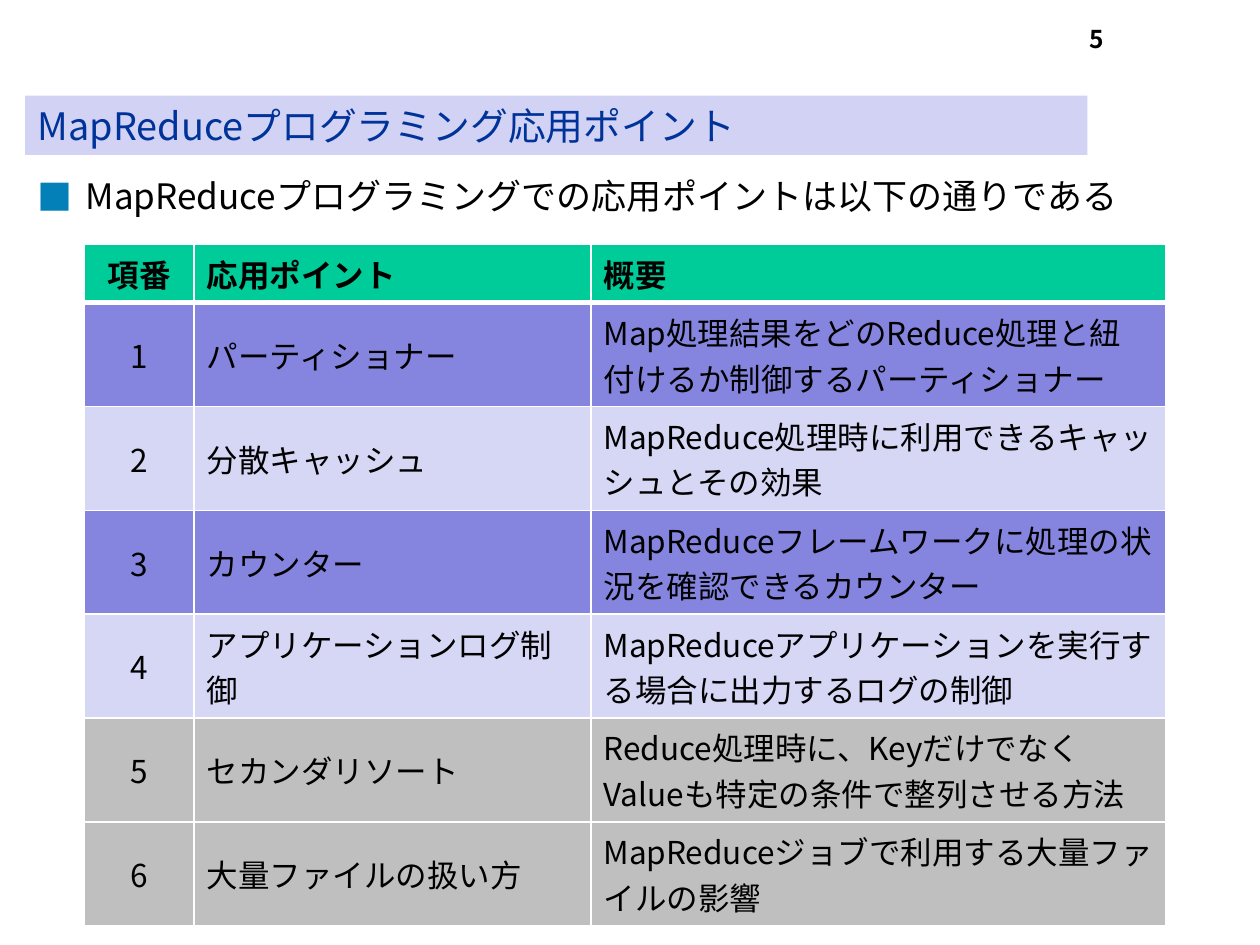
from lxml import etree
from pptx import Presentation
from pptx import util as u
from pptx.dml import color
from pptx.enum import text
from pptx.oxml import ns

CENTER, LEFT, RIGHT = text.PP_ALIGN.CENTER, text.PP_ALIGN.LEFT, text.PP_ALIGN.RIGHT
TOP, MIDDLE = text.MSO_ANCHOR.TOP, text.MSO_ANCHOR.MIDDLE


def rgb(value):
    return color.RGBColor.from_string(value)


def add_xml(parent, tag, **attributes):
    return etree.SubElement(parent, ns.qn(tag), attributes)


def apply(target, formats):
    for name, value in formats.items():
        setattr(target, name, value)


class SlideBuilder:
    font = "Noto Sans CJK JP"
    ink = "000000"

    def __init__(self, deck):
        self.page = deck.slides.add_slide(deck.slide_layouts[1])

    def add_words(self, frame, words, size, align=LEFT, hue=ink, bold=False):
        para = frame.paragraphs[0]
        para.alignment = align
        span = para.add_run()
        span.text = words
        span.font.color.rgb = rgb(hue)
        apply(span.font, {"size": u.Pt(size), "bold": bold, "name": self.font})
        add_xml(span.font._element, "a:ea", typeface=self.font)
        return para

    def place(self, box, bounds, anchor):
        names = ("left", "top", "width", "height")
        apply(box, dict(zip(names, map(u.Inches, bounds))))
        apply(box.text_frame, {"word_wrap": True, "vertical_anchor": anchor,
                               "auto_size": text.MSO_AUTO_SIZE.NONE})

    def title(self, words, bounds):
        box = self.page.shapes.title
        self.place(box, bounds, MIDDLE)
        box.fill.solid()
        box.fill.fore_color.rgb = rgb("D2D2F4")
        self.add_words(box.text_frame, words, 21.6, hue="003399")

    def bullet(self, words, bounds):
        box = self.page.placeholders[1]
        self.place(box, bounds, MIDDLE)
        para = self.add_words(box.text_frame, words, 20)
        para.space_before = u.Pt(4)
        props = para._p.get_or_add_pPr()
        indent = u.Inches(0.38)
        props.set("marL", str(indent))
        props.set("indent", str(-indent))
        add_xml(add_xml(props, "a:buClr"), "a:srgbClr", val="0380B7")
        add_xml(props, "a:buFont", typeface=self.font)
        add_xml(props, "a:buChar", char="■")

    def number(self, words, bounds):
        box = self.page.shapes.add_textbox(*map(u.Inches, bounds))
        self.place(box, bounds, TOP)
        self.add_words(box.text_frame, words, 14, RIGHT, bold=True)

    def borders(self, cell, top, bottom):
        props = cell._tc.get_or_add_tcPr()
        for side, points in (("L", 1), ("R", 1), ("T", top), ("B", bottom)):
            line = add_xml(props, f"a:ln{side}", w=str(u.Pt(points)))
            add_xml(add_xml(line, "a:solidFill"), "a:srgbClr", val="FFFFFF")

    def table(self, rows, fills, widths, left, top, row_height):
        bounds = (left, top, sum(widths), row_height * len(rows))
        grid = self.page.shapes.add_table(
            len(rows), len(widths), *map(u.Inches, bounds)).table
        for column, width in zip(grid.columns, widths):
            column.width = u.Inches(width)
        for r, (row, fill) in enumerate(zip(rows, fills)):
            grid.rows[r].height = u.Inches(row_height)
            for c, words in enumerate(row):
                cell = grid.cell(r, c)
                self.borders(cell, 3 if r == 1 else 1, 3 if r == 0 else 1)
                cell.fill.solid()
                cell.fill.fore_color.rgb = rgb(fill)
                cell.vertical_anchor = MIDDLE if r and c < 2 else TOP
                self.add_words(cell.text_frame, words, 18,
                               LEFT if c else CENTER, bold=r == 0)


def main():
    deck = Presentation()
    apply(deck, {"slide_width": u.Inches(10), "slide_height": u.Inches(7.5)})
    slide = SlideBuilder(deck)
    slide.title("MapReduceプログラミング応用ポイント", (0.2, 0.76, 8.43, 0.47))
    slide.bullet("MapReduceプログラミングでの応用ポイントは以下の通りである",
                 (0.2, 1.32, 9.61, 0.46))
    slide.number("5", (6.78, 0.14, 2.08, 0.5))
    points = [
        ("パーティショナー", "Map処理結果をどのReduce処理と紐付けるか制御するパーティショナー"),
        ("分散キャッシュ", "MapReduce処理時に利用できるキャッシュとその効果"),
        ("カウンター", "MapReduceフレームワークに処理の状況を確認できるカウンター"),
        ("アプリケーションログ制御", "MapReduceアプリケーションを実行する場合に出力するログの制御"),
        ("セカンダリソート", "Reduce処理時に、KeyだけでなくValueも特定の条件で整列させる方法"),
        ("大量ファイルの扱い方", "MapReduceジョブで利用する大量ファイルの影響"),
    ]
    rows = [("項番", "応用ポイント", "概要")]
    rows += [(str(i), *point) for i, point in enumerate(points, 1)]
    fills = ["00CC99"] + ["8585E0", "D6D6F5"] * 2 + ["BFBFBF"] * 2
    slide.table(rows, fills, (0.87, 3.15, 4.56), 0.67, 1.94, 0.41)
    deck.save("out.pptx")


if __name__ == "__main__":
    main()
